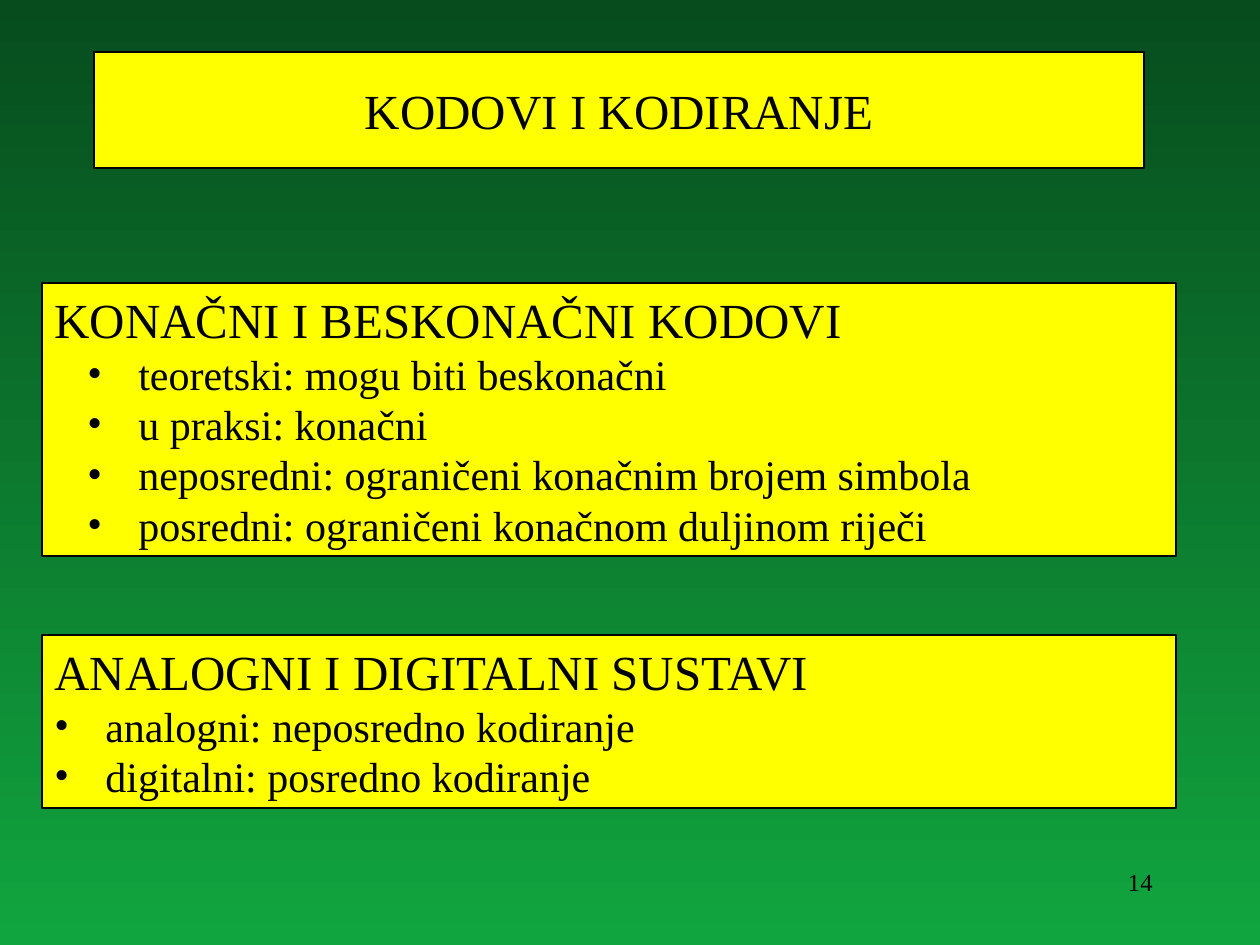
from dataclasses import dataclass

from pptx import Presentation
from pptx.dml.color import RGBColor as RGB
from pptx.enum.shapes import MSO_SHAPE as Shape
from pptx.enum.text import MSO_ANCHOR as Anchor, MSO_AUTO_SIZE as Fit, PP_ALIGN as Align
from pptx.oxml.ns import qn
from pptx.util import Pt
from lxml.etree import SubElement

TITLE = "KODOVI I KODIRANJE"
PAGE = "14"
# place, bullet offset, heading, points
PANELS = [
    ((42, 283, 1134, 273), 33, "KONAČNI I BESKONAČNI KODOVI", [
        "teoretski: mogu biti beskonačni",
        "u praksi: konačni",
        "neposredni: ograničeni konačnim brojem simbola",
        "posredni: ograničeni konačnom duljinom riječi",
    ]),
    ((42, 635, 1134, 173), 0, "ANALOGNI I DIGITALNI SUSTAVI", [
        "analogni: neposredno kodiranje",
        "digitalni: posredno kodiranje",
    ]),
]
TITLE_AT = (94, 52, 1050, 116)
PAGE_AT = (903, 861, 262, 63)
HANG = 51  # gap from bullet to its text


@dataclass(frozen=True)
class Theme:
    font: str = "Times New Roman"
    ink: RGB = RGB(0, 0, 0)
    panel: RGB = RGB(0xFF, 0xFF, 0)
    top: RGB = RGB(0x07, 0x4C, 0x1D)
    base: RGB = RGB(0x11, 0xA5, 0x3F)
    head: int = 28
    body: int = 24
    note: int = 14
    edge: float = 1.5


LOOK = Theme()


def px(n):
    return round(n * 914400 / 126)


def place(shape, at):
    shape.left, shape.top, shape.width, shape.height = map(px, at)


def paint(shape):
    shape.fill.solid()
    shape.fill.fore_color.rgb = LOOK.panel
    shape.line.color.rgb = LOOK.ink
    shape.line.width = Pt(LOOK.edge)


def setup(frame, anchor=Anchor.TOP):
    frame.word_wrap = True
    frame.auto_size = Fit.NONE
    frame.vertical_anchor = anchor


def write(para, text, size=LOOK.body, align=Align.LEFT, bullet=None):
    """Fill a paragraph; bullet is the px offset of its mark, if it has one."""
    para.text = text
    para.alignment = align
    para.line_spacing = 1.0
    para.space_before = para.space_after = Pt(0)
    if bullet is not None:
        props = para._p.get_or_add_pPr()
        props.set("marL", str(px(bullet + HANG)))
        props.set("indent", str(-px(HANG)))
        SubElement(props, qn("a:buFont"), typeface=LOOK.font)
        SubElement(props, qn("a:buChar"), char="•")
    for run in para.runs:
        run.font.name = LOOK.font
        run.font.size = Pt(size)
        run.font.color.rgb = LOOK.ink


def add_panel(slide, at, offset, head, points):
    box = slide.shapes.add_shape(Shape.RECTANGLE, *map(px, at))
    box.shadow.inherit = False
    paint(box)
    frame = box.text_frame
    setup(frame)
    write(frame.paragraphs[0], head, size=LOOK.head)
    for point in points:
        write(frame.add_paragraph(), point, bullet=offset)


def main():
    deck = Presentation()
    deck.slide_width, deck.slide_height = px(1260), px(945)
    slide = deck.slides.add_slide(deck.slide_layouts[5])

    fill = slide.background.fill
    fill.gradient()
    fill.gradient_angle = 270
    for stop, color in zip(fill.gradient_stops, (LOOK.top, LOOK.base)):
        stop.color.rgb = color

    title = slide.shapes.title
    place(title, TITLE_AT)
    paint(title)
    setup(title.text_frame, Anchor.MIDDLE)
    write(title.text_frame.paragraphs[0], TITLE, size=LOOK.head, align=Align.CENTER)

    for panel in PANELS:
        add_panel(slide, *panel)

    page = slide.shapes.add_textbox(*map(px, PAGE_AT))
    setup(page.text_frame)
    write(page.text_frame.paragraphs[0], PAGE, size=LOOK.note, align=Align.RIGHT)
    deck.save("out.pptx")


if __name__ == "__main__":
    main()
